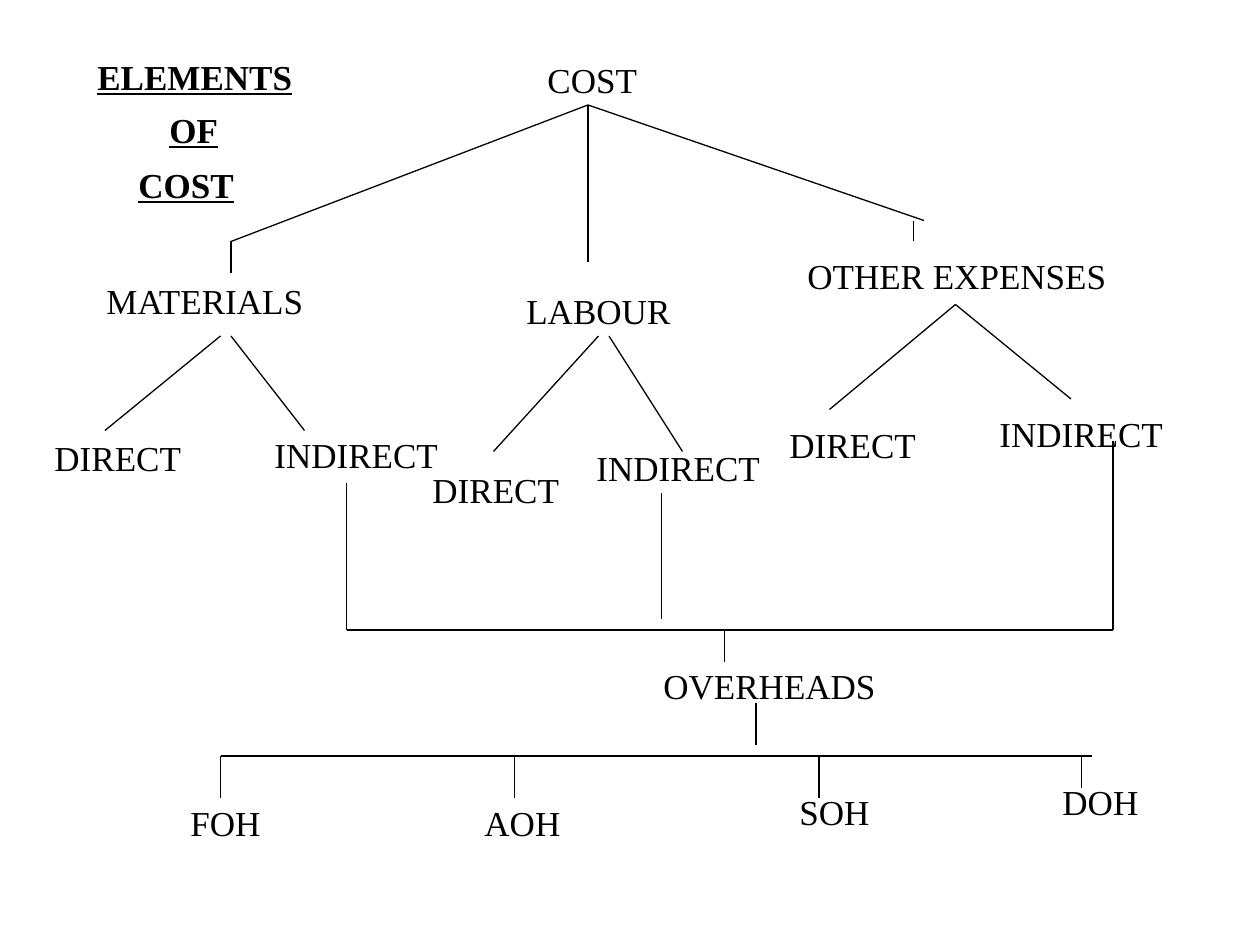
from pptx import Presentation
from pptx.dml.color import RGBColor
from pptx.enum.shapes import MSO_CONNECTOR as Connector
from pptx.enum.text import MSO_AUTO_SIZE as AutoSize
from pptx.oxml.ns import qn
from pptx.util import Pt
from lxml.etree import SubElement

PX = 914400 / 126
GRID = 10.5 * PX
THEME = {
    "ink": RGBColor(0, 0, 0),
    "line_width": Pt(0.75),
    "label": {"name": "Times New Roman", "size": Pt(20)},
    "heading": {"name": "Times New Roman", "size": Pt(20), "bold": True, "underline": True},
}
LABEL_HEIGHT = 55

deck = Presentation()
deck.slide_width, deck.slide_height = round(1260 * PX), round(945 * PX)
slide = deck.slides.add_slide(deck.slide_layouts[6])


def add_label(wording, left, top, width, wraps, style):
    bounds = [round(length * PX) for length in (left, top, width, LABEL_HEIGHT)]
    frame = slide.shapes.add_textbox(*bounds).text_frame
    frame.word_wrap = wraps
    frame.auto_size = AutoSize.SHAPE_TO_FIT_TEXT
    run = frame.paragraphs[0].add_run()
    run.text = wording
    for attribute, value in THEME[style].items():
        setattr(run.font, attribute, value)
    run.font.color.rgb = THEME["ink"]


def add_branch(*ends):
    branch = slide.shapes.add_connector(
        Connector.STRAIGHT, *[round(step * GRID) for step in ends])
    branch.line.color.rgb = THEME["ink"]
    branch.line.width = THEME["line_width"]
    SubElement(branch._element.spPr, qn("a:effectLst"))


heading = [("ELEMENTS", 85, 49, 223), ("OF", 157, 102, 77), ("COST", 126, 157, 125)]
for wording, left, top, width in heading:
    add_label(wording, left, top, width, False, "heading")

wide_labels = [
    ("COST", 535, 52, 134),
    ("MATERIALS", 94, 273, 689),
    ("LABOUR", 514, 283, 214),
    ("DIRECT", 420, 462, 261),
    ("DIRECT", 42, 430, 639),
]
fitted_labels = [
    ("OTHER EXPENSES", 795, 248, 328),
    ("DIRECT", 777, 417, 155),
    ("INDIRECT", 262, 427, 192),
    ("INDIRECT", 584, 440, 192),
    ("INDIRECT", 987, 406, 192),
    ("OVERHEADS", 651, 658, 241),
    ("FOH", 178, 795, 98),
    ("AOH", 472, 795, 104),
    ("SOH", 787, 784, 98),
    ("DOH", 1050, 774, 104),
]
for labels, wraps in ((wide_labels, True), (fitted_labels, False)):
    for wording, left, top, width in labels:
        add_label(wording, left, top, width, wraps, "label")

for x, y in ((22, 23), (56, 25), (88, 21)):
    add_branch(56, 10, x, y)
add_branch(22, 23, 22, 26)
add_branch(87, 21, 87, 23)

direct_indirect = [
    (21, 32, 10, 41), (22, 32, 29, 41),
    (57, 32, 47, 43), (58, 32, 65, 43),
    (91, 29, 79, 39), (91, 29, 102, 38),
]
for ends in direct_indirect:
    add_branch(*ends)

OVERHEADS_BAR = 60
for x, top, bottom in ((33, 46, OVERHEADS_BAR), (63, 47, 59), (106, 42, OVERHEADS_BAR)):
    add_branch(x, top, x, bottom)
add_branch(33, OVERHEADS_BAR, 106, OVERHEADS_BAR)
add_branch(69, OVERHEADS_BAR, 69, 63)

SPLIT_BAR = 72
add_branch(72, 67, 72, 71)
add_branch(21, SPLIT_BAR, 104, SPLIT_BAR)
for x, bottom in ((21, 76), (49, 76), (78, 76), (103, 75)):
    add_branch(x, SPLIT_BAR, x, bottom)

deck.save("out.pptx")
